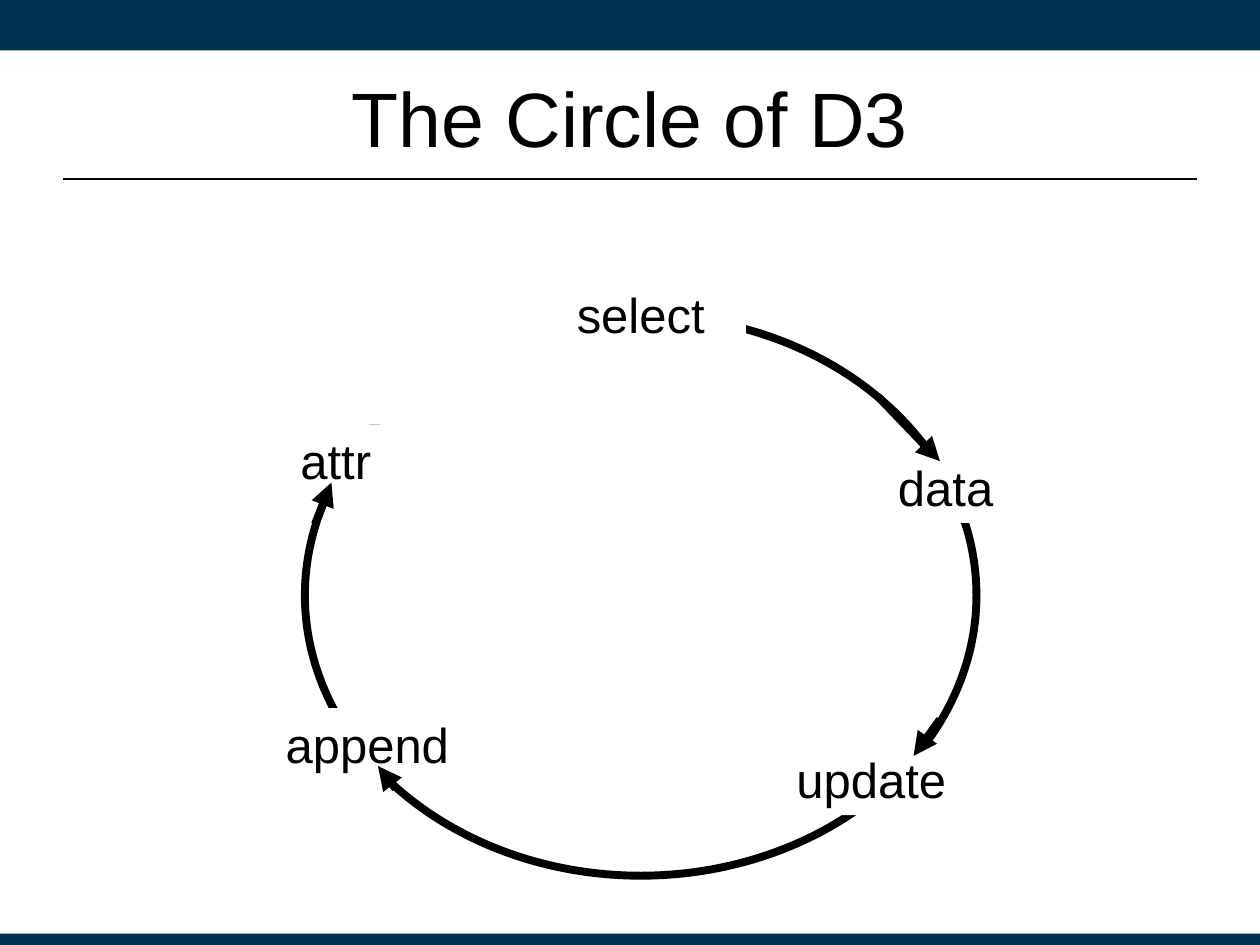
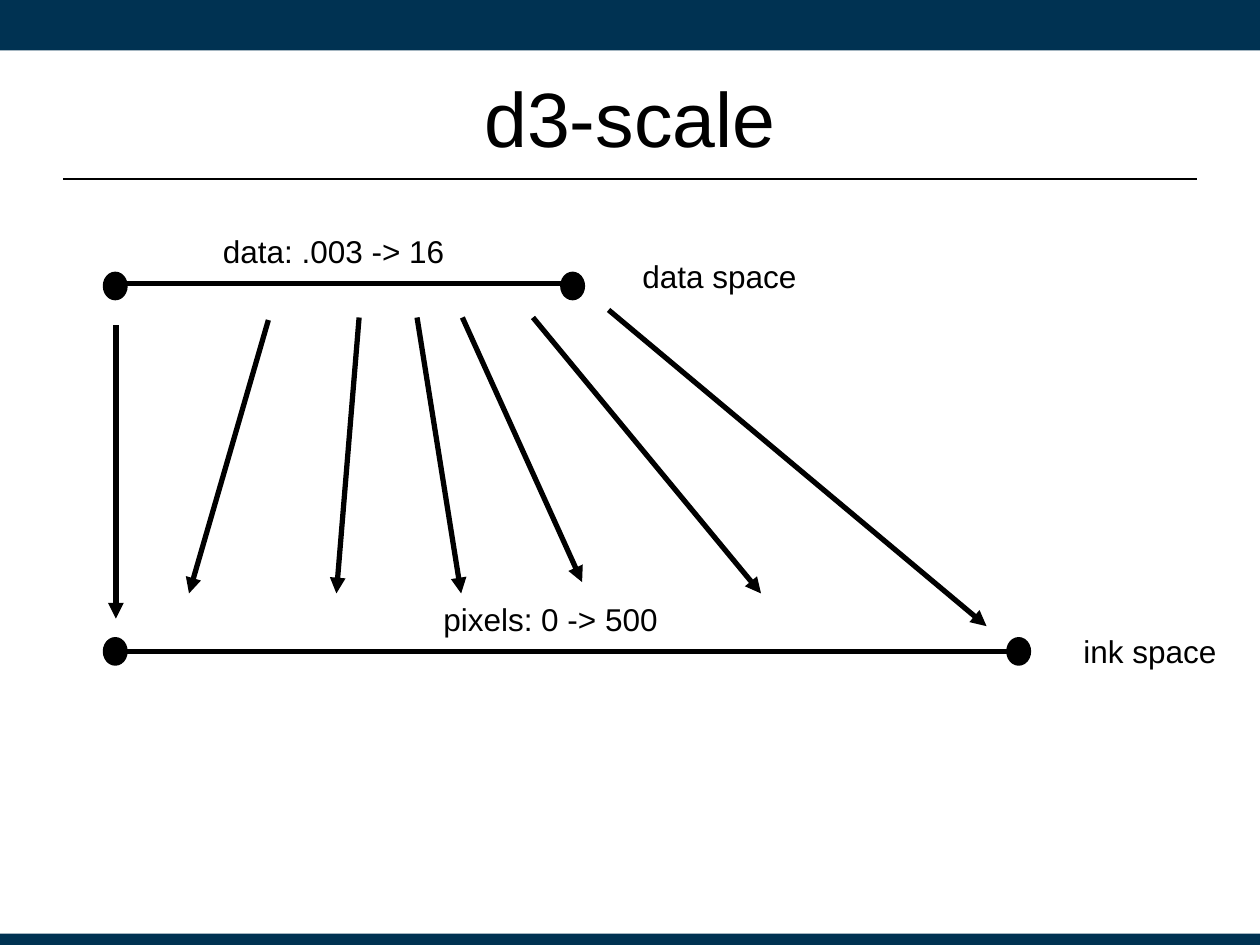
from lxml import etree
from pptx import Presentation
from pptx.dml.color import RGBColor
from pptx.enum.shapes import MSO_CONNECTOR, MSO_SHAPE
from pptx.enum.text import MSO_ANCHOR, MSO_AUTO_SIZE, PP_ALIGN
from pptx.oxml.ns import qn
from pptx.util import Inches, Pt

NAVY = RGBColor(0x00, 0x32, 0x52)
BLACK = RGBColor(0x00, 0x00, 0x00)
WHITE = RGBColor(0xFF, 0xFF, 0xFF)
FONT = "Arial"
RECTANGLE = MSO_SHAPE.RECTANGLE
OVAL = MSO_SHAPE.OVAL
STRAIGHT = MSO_CONNECTOR.STRAIGHT
CENTER = PP_ALIGN.CENTER
LEFT = PP_ALIGN.LEFT
TOP = MSO_ANCHOR.TOP
MIDDLE = MSO_ANCHOR.MIDDLE
GROW = MSO_AUTO_SIZE.SHAPE_TO_FIT_TEXT


def add_line(slide, start, end, weight, arrow=False):
    line = slide.shapes.add_connector(STRAIGHT, *map(Inches, start + end))
    line.line.color.rgb = BLACK
    line.line.width = Pt(weight)
    if arrow:
        etree.SubElement(line.line._get_or_add_ln(), qn("a:tailEnd"), type="triangle")
    etree.SubElement(line.element.spPr, qn("a:effectLst"))


def write(shape, text, size, align, anchor):
    frame = shape.text_frame
    frame.word_wrap = True
    frame.vertical_anchor = anchor
    paragraph = frame.paragraphs[0]
    paragraph.alignment = align
    run = paragraph.add_run()
    run.text = text
    run.font.name = FONT
    run.font.size = Pt(size)
    run.font.color.rgb = BLACK


prs = Presentation()
prs.slide_width = Inches(10)
prs.slide_height = Inches(7.5)
title_only = prs.slide_layouts[5]
circle_slide = prs.slides.add_slide(title_only)
scale_slide = prs.slides.add_slide(title_only)

master_tree = prs.slide_master.shapes.element
for index, (top, height) in enumerate([(0, 0.4), (7.41, 0.09)]):
    band = circle_slide.shapes.add_shape(
        RECTANGLE, 0, Inches(top), prs.slide_width, Inches(height))
    band.shadow.inherit = False
    band.fill.solid()
    band.fill.fore_color.rgb = NAVY
    band.line.fill.background()
    band.element.nvSpPr.cNvPr.set("id", str(100 + index))
    master_tree.insert(2 + index, band.element)

for slide, heading in [(circle_slide, "The Circle of D3"), (scale_slide, "d3-scale")]:
    title = slide.shapes.title
    title.left, title.top = Inches(0.5), Inches(0.3)
    title.width, title.height = Inches(9), Inches(1.25)
    write(title, heading, 44, CENTER, MIDDLE)
    add_line(slide, (0.5, 1.42), (9.5, 1.42), 1.25)

cycle = circle_slide.shapes.add_shape(
    OVAL, Inches(2.42), Inches(2.5), Inches(5.33), Inches(4.45))
cycle.shadow.inherit = False
cycle.fill.background()
cycle.line.color.rgb = BLACK
cycle.line.width = Pt(4.5)

steps = [
    ("select", 4.25, 2.21, 0.57),
    ("data", 6.67, 3.58, 0.57),
    ("update", 6.08, 5.9, 0.57),
    ("append", 2.08, 5.62, 0.57),
    ("attr", 1.83, 3.37, 0.57),
    ("", 2.67, 2.5, 0.87),
]
for name, left, top, height in steps:
    step = circle_slide.shapes.add_shape(
        RECTANGLE, Inches(left), Inches(top), Inches(1.67), Inches(height))
    step.shadow.inherit = False
    step.fill.solid()
    step.fill.fore_color.rgb = WHITE
    step.line.fill.background()
    if name:
        write(step, name, 28, CENTER, TOP)
        step.text_frame.auto_size = GROW

cycle_arrows = [
    ((6.97, 3.15), (7.46, 3.66)),
    ((7.46, 5.71), (7.25, 6)),
    ((3.14, 6.26), (3, 6.08)),
    ((2.5, 4.16), (2.63, 3.83)),
]
for start, end in cycle_arrows:
    add_line(circle_slide, start, end, 4.5, arrow=True)

AXIS_LEFT = 0.92
DOT_WIDTH, DOT_HEIGHT = 0.17, 0.2
axes = [(2.25, 4.58, 2.17, 4.46), (5.17, 8.08, 5.07, 8)]
for axis_y, axis_right, dot_top, last_dot_left in axes:
    add_line(scale_slide, (AXIS_LEFT, axis_y), (axis_right, axis_y), 3)
    for dot_left in (0.83, last_dot_left):
        dot = scale_slide.shapes.add_shape(
            OVAL, Inches(dot_left), Inches(dot_top), Inches(DOT_WIDTH), Inches(DOT_HEIGHT))
        dot.shadow.inherit = False
        dot.fill.solid()
        dot.fill.fore_color.rgb = BLACK
        dot.line.color.rgb = BLACK
        dot.line.width = Pt(2)

captions = [
    ("data: .003 -> 16", 1.67, 1.79, 3.17),
    ("pixels: 0 -> 500", 3.42, 4.71, 3.17),
    ("data space", 5, 1.99, 3.33),
    ("ink space", 8.5, 4.97, 1.5),
]
for text, left, top, width in captions:
    caption = scale_slide.shapes.add_textbox(
        Inches(left), Inches(top), Inches(width), Inches(0.4))
    write(caption, text, 18, LEFT, TOP)
    caption.text_frame.auto_size = GROW

mappings = [
    ((AXIS_LEFT, 2.58), (AXIS_LEFT, 4.91)),
    ((2.13, 2.54), (1.5, 4.71)),
    ((2.85, 2.52), (2.67, 4.71)),
    ((3.31, 2.52), (3.66, 4.71)),
    ((3.67, 2.52), (4.62, 4.62)),
    ((4.23, 2.52), (6.04, 4.71)),
    ((4.83, 2.46), (7.83, 4.97)),
]
for data_point, ink_point in mappings:
    add_line(scale_slide, data_point, ink_point, 3, arrow=True)

prs.save("out.pptx")
